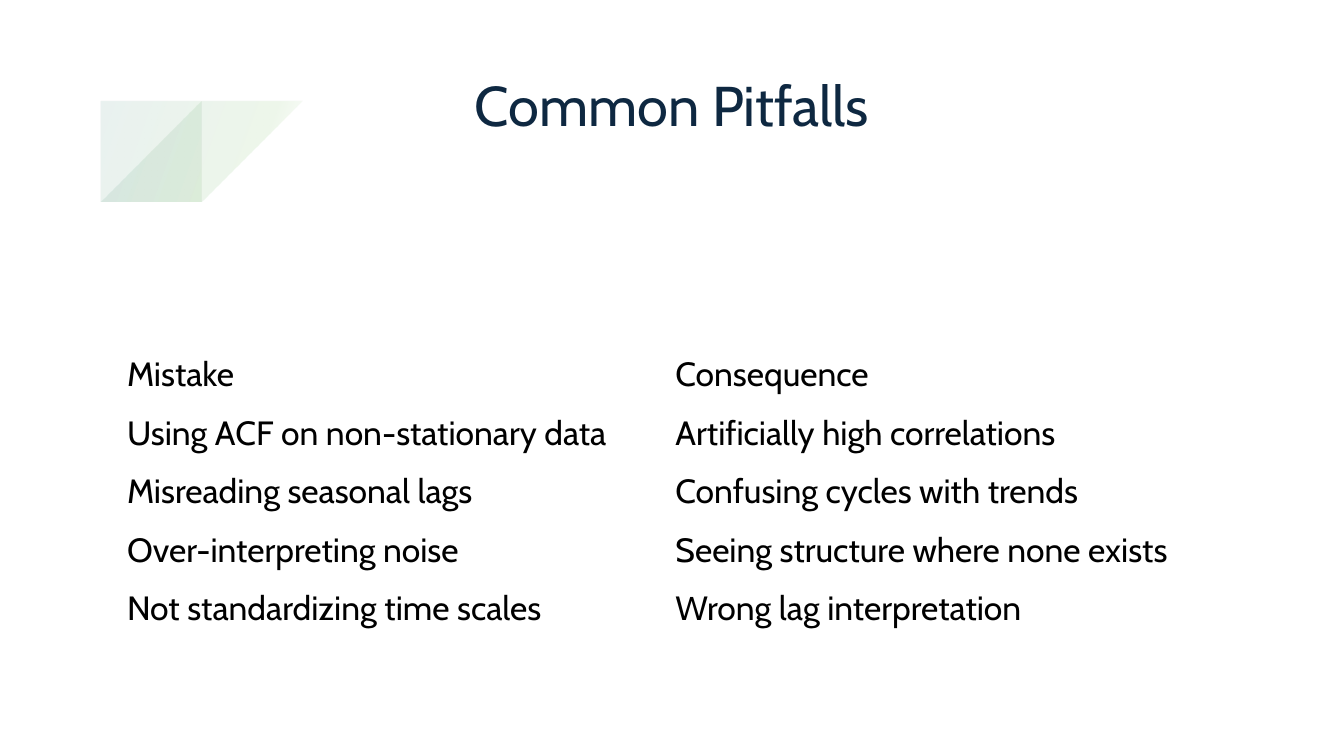
from lxml import etree
from pptx import Presentation
from pptx.dml.color import RGBColor
from pptx.enum.text import MSO_ANCHOR, MSO_AUTO_SIZE, PP_ALIGN
from pptx.oxml.ns import qn
from pptx.util import Inches, Pt

TITLE = "Common Pitfalls"
PITFALLS = [
    ("Mistake", "Consequence"),
    ("Using ACF on non-stationary data", "Artificially high correlations"),
    ("Misreading seasonal lags", "Confusing cycles with trends"),
    ("Over-interpreting noise", "Seeing structure where none exists"),
    ("Not standardizing time scales", "Wrong lag interpretation"),
]
COLORS = {"white": "FFFFFF", "green": "4EA72E", "blue": "156082",
          "navy": "0E2841", "black": "000000"}
FONT = "Cabin"

# Outer and inner edge of each ring: where it meets the slide's top and left side.
RINGS = [
    ((3.17, 2.16), (2.67, 1.66)),
    ((3.17, 2.16), (2.75, 1.74)),
    ((3.17, 2.17), (3.04, 1.96)),
    ((3.19, 2.34), (3.16, 2.16)),
]
RING_STOPS = [(2, "white"), (16, "green"), (85, "blue"), (100, "white")]
RING_ALPHA = 10
RING_ANGLE = 200
CURVE_STEPS = 32


def set_font(para, size, color):
    for name, value in {"name": FONT, "size": Pt(size), "bold": False}.items():
        setattr(para.font, name, value)
    para.font.color.rgb = RGBColor.from_string(COLORS[color])


def edge_points(right, bottom):
    """Follow a cubic curve from the slide's top side to its left side."""
    points = []
    for step in range(CURVE_STEPS + 1):
        t = step / CURVE_STEPS
        near_top = 3 * t * (1 - t) ** 2
        near_left = 3 * t ** 2 * (1 - t)
        points.append((right * ((1 - t) ** 3 + 0.98 * near_top + 0.44 * near_left),
                       bottom * (0.65 * near_top + 1.13 * near_left + t ** 3)))
    return points


def fill_with_gradient(shape):
    gradient = etree.Element(qn("a:gradFill"), rotWithShape="1")
    stops = etree.SubElement(gradient, qn("a:gsLst"))
    for position, color in RING_STOPS:
        stop = etree.SubElement(stops, qn("a:gs"), pos=str(position * 1000))
        shade = etree.SubElement(stop, qn("a:srgbClr"), val=COLORS[color])
        etree.SubElement(shade, qn("a:alpha"), val=str(RING_ALPHA * 1000))
    etree.SubElement(gradient, qn("a:lin"), ang=str(RING_ANGLE * 60000), scaled="0")
    shape._element.spPr.find(qn("a:custGeom")).addnext(gradient)


def add_title(page):
    title = page.shapes.title
    title.left, title.top, title.width, title.height = map(
        Inches, (1.29, 0.35, 10.75, 1.45))
    frame = title.text_frame
    frame.text = TITLE
    for name, value in {"auto_size": MSO_AUTO_SIZE.NONE, "word_wrap": True,
                        "vertical_anchor": MSO_ANCHOR.MIDDLE}.items():
        setattr(frame, name, value)
    para = frame.paragraphs[0]
    para.alignment = PP_ALIGN.CENTER
    para.line_spacing = 0.9
    set_font(para, 40, "navy")


def add_rings(page):
    group = page.shapes.add_group_shape()
    for outer, inner in RINGS:
        start, *points = edge_points(*outer) + edge_points(*inner)[::-1]
        builder = group.shapes.build_freeform(*start, scale=Inches(1))
        builder.add_line_segments(points, close=True)
        ring = builder.convert_to_shape()
        ring.shadow.inherit = False
        ring.line.fill.background()
        fill_with_gradient(ring)


def add_pitfalls(page):
    widths = (5.44, 5.63)
    row_height = 0.58
    table = page.shapes.add_table(
        len(PITFALLS), len(widths), Inches(1.13), Inches(3.43),
        Inches(sum(widths)), Inches(row_height * len(PITFALLS))).table
    table.first_row = table.horz_banding = False
    for column, width in zip(table.columns, widths):
        column.width = Inches(width)
    cell_format = {"margin_left": Inches(0.13), "margin_right": Inches(0.13),
                   "margin_top": Inches(0.07), "margin_bottom": Inches(0.07),
                   "vertical_anchor": MSO_ANCHOR.MIDDLE}
    for row, texts in zip(table.rows, PITFALLS):
        row.height = Inches(row_height)
        for cell, text in zip(row.cells, texts):
            cell.text = text
            cell.fill.background()
            for name, value in cell_format.items():
                setattr(cell, name, value)
            set_font(cell.text_frame.paragraphs[0], 24, "black")


def main():
    deck = Presentation()
    deck.slide_width, deck.slide_height = Inches(13.33), Inches(7.5)
    page = deck.slides.add_slide(deck.slide_layouts[5])
    page.background.fill.solid()
    page.background.fill.fore_color.rgb = RGBColor.from_string(COLORS["white"])
    add_title(page)
    add_rings(page)
    add_pitfalls(page)
    deck.save("out.pptx")


if __name__ == "__main__":
    main()
